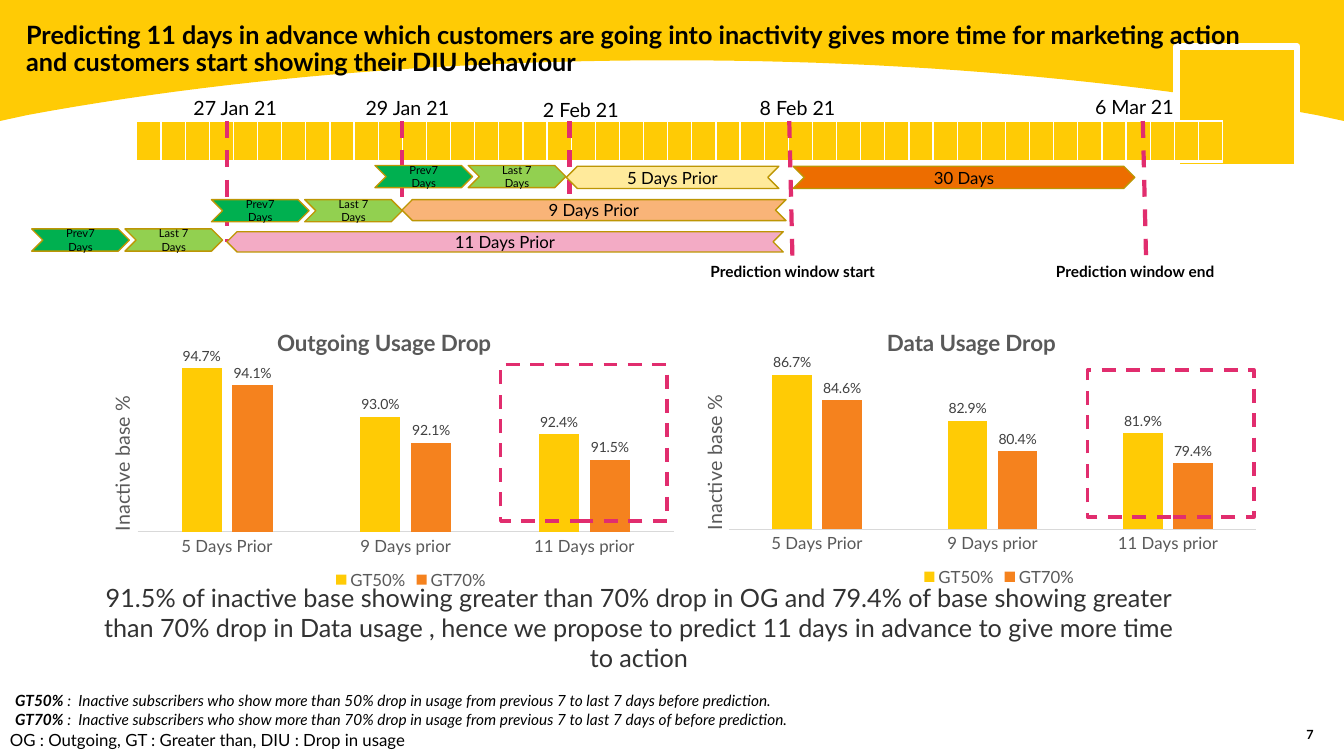
from dataclasses import dataclass
from lxml.etree import SubElement
from pptx import Presentation
from pptx.chart.data import CategoryChartData
from pptx.dml.color import RGBColor
from pptx.enum.chart import XL_CHART_TYPE, XL_LABEL_POSITION, XL_LEGEND_POSITION, XL_TICK_MARK
from pptx.enum.dml import MSO_LINE
from pptx.enum.shapes import MSO_CONNECTOR, MSO_SHAPE
from pptx.enum.text import MSO_ANCHOR, PP_ALIGN
from pptx.oxml import parse_xml
from pptx.oxml.ns import nsdecls, qn
from pptx.util import Cm, Pt


@dataclass(frozen=True)
class Theme:
    font: str = "Lato"
    black: str = "000000"
    white: str = "FFFFFF"
    yellow: str = "FFCB05"
    orange: str = "F5821E"
    pink: str = "E12D6E"
    edge: str = "BD9604"
    gray: str = "595959"
    dark: str = "404040"
    body: str = "323232"
    rule: str = "D9D9D9"
    prev: str = "00B050"
    last: str = "92D050"
    head: int = 18
    title: int = 16
    date: int = 14
    base: int = 12
    note: int = 11
    label: int = 10
    page: int = 9
    tiny: int = 8


T = Theme()
WIDE, HIGH = 33.87, 19.05


def rgb(code):
    return RGBColor.from_string(code)


def style(font, size, color=T.black, bold=False, italic=False):
    font.name, font.size = T.font, Pt(size)
    font.bold, font.italic = bold, italic
    font.color.rgb = rgb(color)


def write(slide, box, lines, size, color=T.black, bold=False, align=PP_ALIGN.CENTER,
          anchor=MSO_ANCHOR.TOP, space=1.0, inset=True):
    frame = slide.shapes.add_textbox(*map(Cm, box)).text_frame
    frame.word_wrap, frame.vertical_anchor = True, anchor
    if not inset:
        frame.margin_left = frame.margin_right = frame.margin_top = frame.margin_bottom = 0
    frame.text = "\n".join(lines)
    for para in frame.paragraphs:
        para.alignment, para.line_spacing = align, space
        style(para.font, size, color, bold)


def shape(slide, kind, box, fill, line, width):
    item = slide.shapes.add_shape(kind, *map(Cm, box))
    item.shadow.inherit = False
    if fill:
        item.fill.solid()
        item.fill.fore_color.rgb = rgb(fill)
    else:
        item.fill.background()
    item.line.color.rgb, item.line.width = rgb(line), Pt(width)
    return item


def arrow(slide, box, label, fill, size=T.base, flip=False):
    item = shape(slide, MSO_SHAPE.CHEVRON, box, fill, T.edge, 1)
    if flip:
        item._element.spPr.xfrm.set("flipH", "1")
    item.text_frame.text = label
    para = item.text_frame.paragraphs[0]
    para.alignment = PP_ALIGN.CENTER
    style(para.font, size)


def banner(slide, box):
    """Yellow band with a curved lower edge, the badge and the headline."""
    x, y, w, h = box
    nodes = [(w / 2, 1.52), (11.05, 1.52), (5.51, 2.01), (0.69, 2.9)]
    half = []
    for step in range(25):
        t = step / 24
        parts = ((1 - t) ** 3, 3 * t * (1 - t) ** 2, 3 * t * t * (1 - t), t ** 3)
        half.append(tuple(sum(p * n[i] for p, n in zip(parts, nodes)) for i in (0, 1)))
    left = half + [(0, h)]
    right = [(w - a, b) for a, b in reversed(left)]
    curve = [(Cm(x + a), Cm(y + b)) for a, b in [(w, 0)] + right + left]
    pen = slide.shapes.build_freeform(Cm(x), Cm(y))
    pen.add_line_segments(curve, close=True)
    band = pen.convert_to_shape()
    band.shadow.inherit = False
    band.fill.solid()
    band.fill.fore_color.rgb = rgb(T.yellow)
    band.line.fill.background()
    shape(slide, MSO_SHAPE.RECTANGLE, (x + 29.65, y + 1.17, 3.04, 3.04), T.yellow, T.white, 4.7)
    write(slide, (x + 0.66, y + 0.58, 32.77, 1.4), [
        "Predicting 11 days in advance which customers are going into inactivity gives more time "
        "for marketing action", "and customers start showing their DIU behaviour"],
        T.head, bold=True, align=PP_ALIGN.LEFT, space=0.9, inset=False)


def calendar(slide, box, days=45):
    table = slide.shapes.add_table(1, days, *map(Cm, box)).table
    table.first_row = table.horz_banding = False
    for day in range(days):
        table.columns[day].width = Cm(box[2] / days)
        cell = table.cell(0, day)
        props = cell._tc.get_or_add_tcPr()
        for side, width in zip("LRTB", (1, 1, 1, 3)):
            edge = SubElement(props, qn("a:ln" + side), w=str(Pt(width)))
            SubElement(SubElement(edge, qn("a:solidFill")), qn("a:srgbClr"), val=T.white)
        cell.fill.solid()
        cell.fill.fore_color.rgb = rgb(T.yellow)


def timeline(slide, box):
    x, y, w, h = box
    calendar(slide, (x + 2.65, y, 26.04, 1.02))
    dates = [("27 Jan 21", 4.92, 0, 3.05, 0.21, 0.76), ("29 Jan 21", 9.33, 0, 2.24, 0.14, 0.76),
             ("2 Feb 21", 13.55, 0, 1.85, 0.29, 0.71), ("8 Feb 21", 19.09, 0.08, 3.43, 0.21, 0.76),
             ("6 Mar 21", 28, 0.08, 3.38, -0.21, 0.79)]
    wide = 5.77
    for name, at, lean, drop, shift, rise in dates:
        line = slide.shapes.add_connector(
            MSO_CONNECTOR.STRAIGHT, Cm(x + at), Cm(y), Cm(x + at + lean), Cm(y + drop))
        line.line.color.rgb, line.line.width = rgb(T.pink), Pt(3)
        line.line.dash_style = MSO_LINE.DASH
        SubElement(line._element.spPr, qn("a:effectLst"))
        write(slide, (x + at + shift - wide / 2, y - rise, wide, 1), [name], T.date)
    for name, mid in (("start", 19.18), ("end", 27.81)):
        write(slide, (x + mid - wide / 2, y + 3.43, wide, 1), ["Prediction window " + name],
              T.note, bold=True)
    arrow(slide, (x + 19.19, y + 1.14, 8.61, 0.56), "30 Days", "ED6D00")
    rows = [(5, "FFEA9B", 8.65, 1.12, 13.47, 1.14, 5.36, 0.56),
            (9, "F9B478", 4.53, 1.98, 9.33, 1.98, 9.68, 0.53),
            (11, "F3ABC5", 0, 2.72, 4.92, 2.79, 14.02, 0.51)]
    for days, fill, left, top, start, level, span, tall in rows:
        arrow(slide, (x + start, y + level, span, tall), f"{days} Days Prior", fill, flip=True)
        for step, (name, tint) in enumerate((("Prev7 Days", T.prev), ("Last 7 Days", T.last))):
            arrow(slide, (x + left + 2.35 * step, y + top, 2.46, 0.56), name, tint, T.tiny)


def settle(part, index, **spots):
    """Give a chart part a fixed layout, as shares of the chart."""
    for old in part.findall(qn("c:layout")):
        part.remove(old)
    inner = '<c:layoutTarget val="inner"/>' if "w" in spots else ""
    modes = "".join(f'<c:{key}Mode val="edge"/>' for key in "xy")
    sizes = "".join(f'<c:{key} val="{val}"/>' for key, val in spots.items())
    part.insert(index, parse_xml(f'<c:layout {nsdecls("c")}><c:manualLayout>{inner}{modes}{sizes}'
                                 '</c:manualLayout></c:layout>'))


def caption(owner, text, size, bold):
    owner.text_frame.text = text
    style(owner.text_frame.paragraphs[0].font, size, T.gray, bold)


def usage(slide, box, title, shift, series, limits, mark):
    """Column chart with a dashed frame around its last group."""
    data = CategoryChartData(number_format="0.0%")
    data.categories = ["5 Days Prior", "9 Days prior", "11 Days prior"]
    for name, vals in zip(("GT50%", "GT70%"), series):
        data.add_series(name, vals)
    chart = slide.shapes.add_chart(XL_CHART_TYPE.COLUMN_CLUSTERED, *map(Cm, box), data).chart
    style(chart.font, T.label)
    chart.has_title = chart.has_legend = True
    caption(chart.chart_title, title, T.title, True)
    chart.legend.position, chart.legend.include_in_layout = XL_LEGEND_POSITION.BOTTOM, False
    style(chart.legend.font, T.base, T.gray)
    plot = chart.plots[0]
    plot.gap_width, plot.overlap, plot.vary_by_categories = 219, -27, False
    for item, color in zip(plot.series, (T.yellow, T.orange)):
        item.format.fill.solid()
        item.format.fill.fore_color.rgb = rgb(color)
        labels = item.data_labels
        labels.show_value, labels.position = True, XL_LABEL_POSITION.OUTSIDE_END
        labels.number_format, labels.number_format_is_linked = "0.0%", False
        style(labels.font, T.label, T.dark)
    cats, vals = chart.category_axis, chart.value_axis
    cats.major_tick_mark = XL_TICK_MARK.NONE
    cats.format.line.color.rgb, cats.format.line.width = rgb(T.rule), Pt(0.75)
    style(cats.tick_labels.font, T.base, T.gray)
    vals.minimum_scale, vals.maximum_scale = limits
    vals.has_major_gridlines = vals.visible = False
    caption(vals.axis_title, "Inactive base %", T.date, False)
    turn = vals.axis_title.text_frame._txBody.bodyPr
    turn.set("rot", "-5400000")
    turn.set("vert", "horz")
    root = chart._chartSpace
    settle(root.find(".//" + qn("c:plotArea")), 0, x=0.105, y=0.19, w=0.875, h=0.585)
    settle(root.chart.find(qn("c:title")), 1, x=shift, y=0.065)
    settle(root.find(f'.//{qn("c:valAx")}/{qn("c:title")}'), 1, x=0.05, y=0.3)
    settle(root.find(".//" + qn("c:legend")), 1, x=0.42, y=0.89)
    left, top, tall = mark
    frame = shape(slide, MSO_SHAPE.RECTANGLE, (box[0] + left, box[1] + top, 4.19, tall),
                  None, T.pink, 2.5)
    frame.line.dash_style = MSO_LINE.DASH


def footer(slide, box):
    x, y, w, h = box
    write(slide, (x + 2.08, y, 28.04, 1.65), [
        "91.5% of inactive base showing greater than 70% drop in OG and 79.4% of base showing "
        "greater than 70% drop in Data usage , hence we propose to predict 11 days in advance to "
        "give more time to action"], T.head, T.body, anchor=MSO_ANCHOR.MIDDLE)
    frame = slide.shapes.add_textbox(Cm(x + 0.13), Cm(y + 2.31), Cm(30.53), Cm(1.19)).text_frame
    frame.word_wrap = True
    for row, (share, tail) in enumerate(((50, "days"), (70, "days of"))):
        para = frame.add_paragraph() if row else frame.paragraphs[0]
        note = (f" :  Inactive subscribers who show more than {share}% drop in usage from "
                f"previous 7 to last 7 {tail} before prediction.")
        for words, bold in ((f"GT{share}%", True), (note, False)):
            run = para.add_run()
            run.text = words
            style(run.font, T.note, bold=bold, italic=True)
    write(slide, (x, y + 3.27, 15.85, 0.76),
          ["OG : Outgoing, GT : Greater than, DIU : Drop in usage"], T.base, align=PP_ALIGN.LEFT)
    write(slide, (x + 32.16, y + 3.17, 1.71, 0.69), ["7"], T.page, bold=True,
          anchor=MSO_ANCHOR.MIDDLE, inset=False)


def main():
    deck = Presentation()
    deck.slide_width, deck.slide_height = Cm(WIDE), Cm(HIGH)
    slide = deck.slides.add_slide(deck.slide_layouts[6])
    banner(slide, (0, 0, WIDE, 3.05))
    timeline(slide, (0.8, 3.05, 32, 4.4))
    usage(slide, (1.85, 7.65, 15.44, 7.42), "Outgoing Usage Drop", 0.326,
          [(0.947, 0.93, 0.924), (0.941, 0.921, 0.915)], (0.89, 0.95), (10.77, 1.54, 3.94))
    usage(slide, (16.79, 7.65, 15.16, 7.34), "Data Usage Drop", 0.36,
          [(0.867, 0.829, 0.819), (0.846, 0.804, 0.794)], (0.74, 0.88), (10.62, 1.67, 3.71))
    footer(slide, (0, 14.99, WIDE, 4.06))
    deck.save("out.pptx")


if __name__ == "__main__":
    main()
